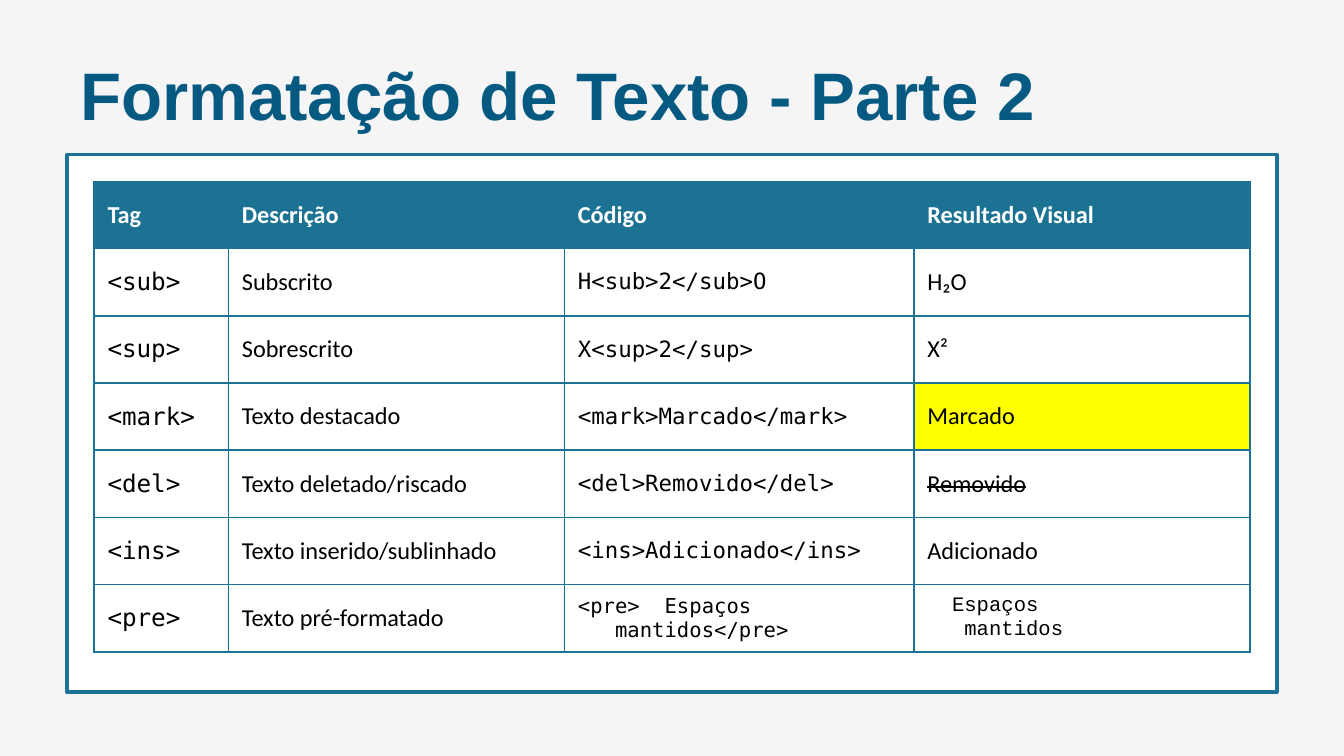
from lxml import etree
from pptx import Presentation
from pptx.dml.color import RGBColor
from pptx.enum.shapes import MSO_SHAPE
from pptx.enum.text import MSO_ANCHOR
from pptx.oxml.ns import qn
from pptx.util import Pt

PX = 4572  # EMU per px, 200 px to the inch
RECTANGLE = MSO_SHAPE.RECTANGLE
MIDDLE = MSO_ANCHOR.MIDDLE
COLORS = {
    "page": "F5F5F5",
    "title": "065A82",
    "accent": "1C7293",
    "white": "FFFFFF",
    "text": "000000",
    "mark": "FFFF00",
}
SANS, MONO, TYPEWRITER = "Calibri", "DejaVu Sans Mono", "Courier New"

HEADER = ["Tag", "Descrição", "Código", "Resultado Visual"]
TAGS = [
    ["<sub>", "Subscrito", "H<sub>2</sub>O", "H₂O"],
    ["<sup>", "Sobrescrito", "X<sup>2</sup>", "X²"],
    ["<mark>", "Texto destacado", "<mark>Marcado</mark>", "Marcado"],
    ["<del>", "Texto deletado/riscado", "<del>Removido</del>", "Removido"],
    ["<ins>", "Texto inserido/sublinhado", "<ins>Adicionado</ins>", "Adicionado"],
    ["<pre>", "Texto pré-formatado", "<pre>  Espaços\n   mantidos</pre>",
     "  Espaços\n   mantidos"],
]
COLUMN_STYLES = [(MONO, 13), (SANS, 13), (MONO, 12), (SANS, 13)]
SPECIAL_STYLES = {
    ("<pre>", 2): {"font": MONO, "size": 11},
    ("<pre>", 3): {"font": TYPEWRITER, "size": 11},
    ("<del>", 3): {"strike": True},
    ("<mark>", 3): {"fill": "mark"},
}


def rgb(name):
    return RGBColor.from_string(COLORS[name])


class SlideBuilder:
    def __init__(self, page):
        self.page = page
        page.background.fill.solid()
        page.background.fill.fore_color.rgb = rgb("page")

    def place(self, *lengths):
        return [length * PX for length in lengths]

    def set_text(self, frame, text, font, size, color, bold=False, strike=False):
        frame.text = text
        for para in frame.paragraphs:
            for span in para.runs:
                span.font.name = font
                span.font.size = Pt(size)
                span.font.bold = bold
                span.font.color.rgb = rgb(color)
                if strike:
                    span._r.get_or_add_rPr().set("strike", "sngStrike")

    def title(self, text, left, top, width, height):
        box = self.page.shapes.add_textbox(*self.place(left, top, width, height))
        box.text_frame.word_wrap = True
        box.text_frame.vertical_anchor = MIDDLE
        self.set_text(box.text_frame, text, "Arial", 36, "title", bold=True)

    def panel(self, left, top, width, height):
        panel = self.page.shapes.add_shape(
            RECTANGLE, *self.place(left, top, width, height))
        panel.shadow.inherit = False
        panel.fill.solid()
        panel.fill.fore_color.rgb = rgb("white")
        panel.line.color.rgb = rgb("accent")
        panel.line.width = Pt(2)

    def table(self, left, top, column_widths, row_height, row_count):
        area = self.place(left, top, sum(column_widths), row_height * row_count)
        table = self.page.shapes.add_table(
            row_count, len(column_widths), *area).table
        for column, width in zip(table.columns, column_widths):
            column.width = width * PX
        for row in table.rows:
            row.height = row_height * PX
        return table

    def border(self, cell):
        properties = cell._tc.get_or_add_tcPr()
        for side in ("a:lnL", "a:lnR", "a:lnT", "a:lnB"):
            line = etree.SubElement(properties, qn(side), w=str(Pt(1)))
            fill = etree.SubElement(line, qn("a:solidFill"))
            etree.SubElement(fill, qn("a:srgbClr"), val=COLORS["accent"])

    def cell(self, cell, text, font=SANS, size=13, color="text", bold=False,
             strike=False, fill=None):
        self.border(cell)
        cell.vertical_anchor = MIDDLE
        if fill:
            cell.fill.solid()
            cell.fill.fore_color.rgb = rgb(fill)
        else:
            cell.fill.background()
        self.set_text(cell.text_frame, text, font, size, color, bold, strike)


def main():
    deck = Presentation()
    deck.slide_width, deck.slide_height = 2000 * PX, 1125 * PX
    builder = SlideBuilder(deck.slides.add_slide(deck.slide_layouts[6]))

    builder.title("Formatação de Texto - Parte 2", 100, 80, 1800, 120)
    builder.panel(100, 230, 1800, 800)

    table = builder.table(140, 270, [200, 500, 520, 500], 100, len(TAGS) + 1)
    for column, text in enumerate(HEADER):
        builder.cell(table.cell(0, column), text, color="white", bold=True,
                     fill="accent")
    for row, texts in enumerate(TAGS, start=1):
        for column, text in enumerate(texts):
            font, size = COLUMN_STYLES[column]
            style = {"font": font, "size": size}
            style.update(SPECIAL_STYLES.get((texts[0], column), {}))
            builder.cell(table.cell(row, column), text, **style)

    deck.save("out.pptx")


if __name__ == "__main__":
    main()
